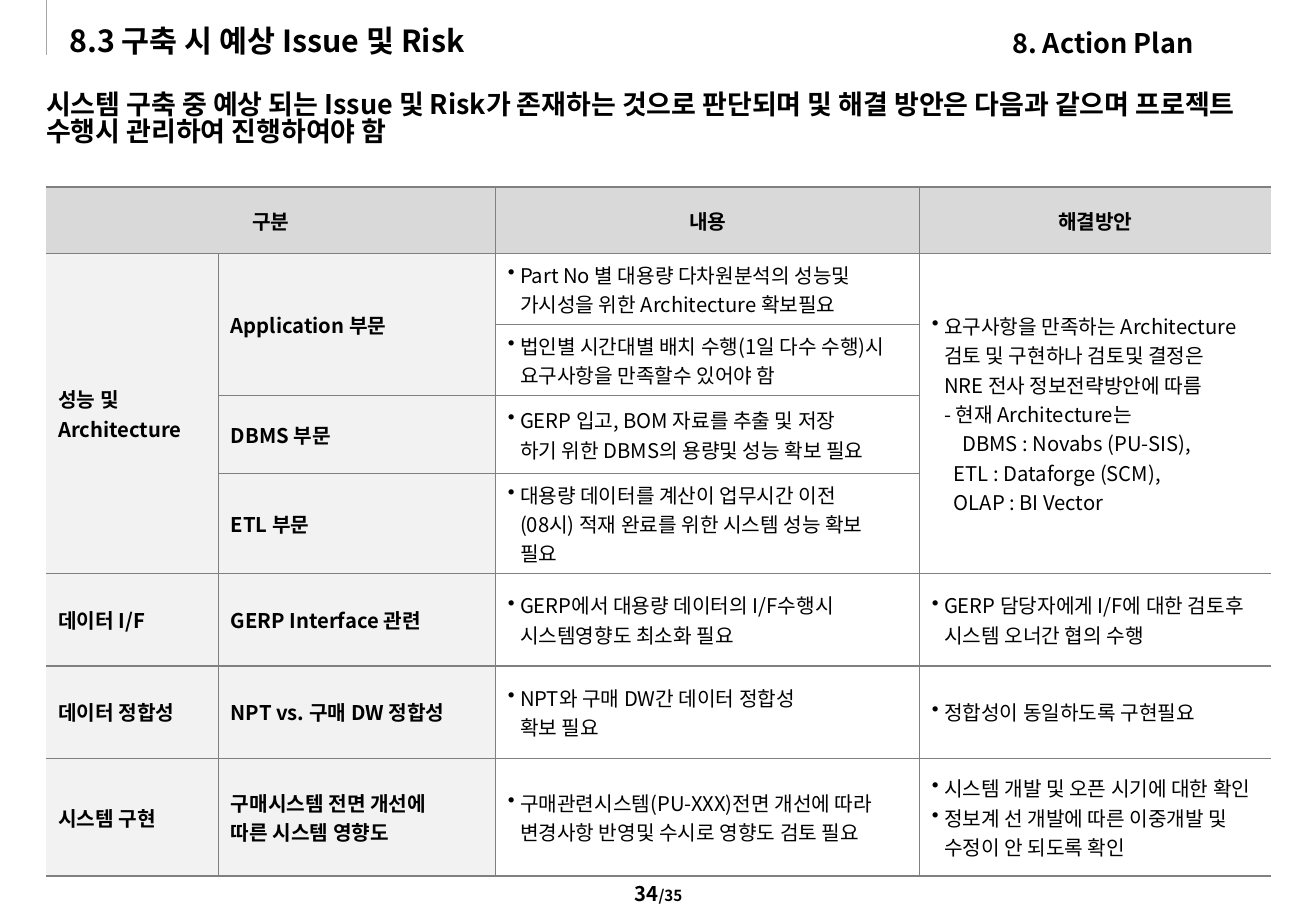
from dataclasses import dataclass, field
from typing import Optional

from lxml.etree import SubElement
from pptx import Presentation
from pptx.dml.color import RGBColor
from pptx.enum.shapes import MSO_CONNECTOR as Connector
from pptx.enum.text import MSO_ANCHOR as Anchor, MSO_AUTO_SIZE as AutoSize, PP_ALIGN as Align
from pptx.oxml.ns import qn
from pptx.util import Inches, Pt


@dataclass(frozen=True)
class Theme:
    """Colours, font and type sizes."""
    font: str = "Noto Sans CJK KR"
    ink: str = "000000"
    rule: str = "A6A6A6"
    border: str = "808080"
    header: str = "D9D9D9"
    label: str = "F2F2F2"
    content: str = "FFFFFF"
    title_size: int = 18
    lead_size: int = 16
    cell_size: int = 12
    total_size: int = 9
    thin: float = 0.75
    thick: float = 1.5


@dataclass(frozen=True)
class Item:
    """One paragraph of a content cell."""
    text: str
    indent: float = 0.1
    bullet: bool = True


@dataclass(frozen=True)
class Entry:
    """One filled table cell with its span."""
    row: int
    column: int
    items: list[Item] = field(default_factory=list)
    rows: int = 1
    columns: int = 1


@dataclass(frozen=True)
class Frame:
    """Place of an element in inches."""
    left: float
    top: float
    width: float
    height: float


THEME = Theme()
COLUMNS = [1.42, 2.28, 3.49, 2.89]
ROWS = [0.55, 0.54, 0.54, 0.64, 0.76, 0.76, 0.76, 0.97]


def label(row: int, column: int, text: str, rows: int = 1, columns: int = 1) -> Entry:
    """Make a header or label cell."""
    return Entry(row, column, [Item(text, 0, False)], rows, columns)


def bullets(row: int, column: int, *texts: str) -> Entry:
    """Make a bulleted content cell."""
    return Entry(row, column, [Item(text) for text in texts])


ENTRIES = [
    label(0, 0, "구분", columns=2),
    label(0, 2, "내용"),
    label(0, 3, "해결방안"),
    label(1, 0, "성능 및 Architecture", rows=4),
    label(1, 1, "Application 부문", rows=2),
    label(3, 1, "DBMS 부문"),
    label(4, 1, "ETL 부문"),
    label(5, 0, "데이터 I/F"),
    label(5, 1, "GERP Interface 관련"),
    label(6, 0, "데이터 정합성"),
    label(6, 1, "NPT vs. 구매 DW 정합성"),
    label(7, 0, "시스템 구현"),
    label(7, 1, "구매시스템 전면 개선에\v따른 시스템 영향도"),
    bullets(1, 2, "Part No 별 대용량 다차원분석의 성능및 가시성을 위한 Architecture 확보필요"),
    bullets(2, 2, "법인별 시간대별 배치 수행(1일 다수 수행)시 요구사항을 만족할수 있어야 함"),
    bullets(3, 2, "GERP 입고, BOM 자료를 추출 및 저장\v하기 위한 DBMS의 용량및 성능 확보 필요"),
    bullets(4, 2, "대용량 데이터를 계산이 업무시간 이전\v(08시) 적재 완료를 위한 시스템 성능 확보\v필요"),
    bullets(5, 2, "GERP에서 대용량 데이터의 I/F수행시 시스템영향도 최소화 필요"),
    bullets(6, 2, "NPT와 구매 DW간 데이터 정합성\v확보 필요"),
    bullets(7, 2, "구매관련시스템(PU-XXX)전면 개선에 따라 변경사항 반영및 수시로 영향도 검토 필요"),
    Entry(1, 3, [
        Item("요구사항을 만족하는 Architecture 검토 및 구현하나 검토및 결정은\vNRE 전사 정보전략방안에 따름"),
        Item("- 현재 Architecture는", 0.1, False),
        Item("DBMS : Novabs (PU-SIS),", 0.25, False),
        Item("ETL : Dataforge (SCM),", 0.18, False),
        Item("OLAP : BI Vector", 0.18, False),
    ], rows=4),
    bullets(5, 3, "GERP 담당자에게 I/F에 대한 검토후 시스템 오너간 협의 수행"),
    bullets(6, 3, "정합성이 동일하도록 구현필요"),
    bullets(7, 3, "시스템 개발 및 오픈 시기에 대한 확인", "정보계 선 개발에 따른 이중개발 및 수정이 안 되도록 확인"),
]


def style_run(span, size: float, bold: bool = True) -> None:
    """Give a run the theme font for Latin and Korean text."""
    font = span.font
    font.name, font.size, font.bold = THEME.font, Pt(size), bold
    font.color.rgb = RGBColor.from_string(THEME.ink)
    east_asian = SubElement(span._r.get_or_add_rPr(), qn("a:ea"))
    east_asian.set("typeface", THEME.font)


def set_indent(para, indent: float, bullet: bool) -> None:
    """Set the left indent and the bullet of a paragraph."""
    properties = para._p.get_or_add_pPr()
    properties.set("marL", str(Inches(indent)))
    properties.set("indent", str(Inches(-0.1 if bullet else 0)))
    if bullet:
        SubElement(properties, qn("a:buChar")).set("char", "•")
    else:
        SubElement(properties, qn("a:buNone"))


def place_text(box, frame: Frame, text: str, size: float, anchor=Anchor.MIDDLE):
    """Place a text shape without insets and return its paragraph."""
    box.left, box.top = Inches(frame.left), Inches(frame.top)
    box.width, box.height = Inches(frame.width), Inches(frame.height)
    text_frame = box.text_frame
    text_frame.text = text
    text_frame.word_wrap, text_frame.auto_size = True, AutoSize.NONE
    text_frame.vertical_anchor = anchor
    text_frame.margin_left = text_frame.margin_right = 0
    text_frame.margin_top = text_frame.margin_bottom = 0
    para = text_frame.paragraphs[0]
    para.alignment = Align.LEFT
    for span in para.runs:
        style_run(span, size)
    return para


def set_borders(cell, row: int, column: int) -> None:
    """Draw the inner rules and the thick top and bottom rules."""
    weights = {
        "a:lnL": THEME.thin if column else 0,
        "a:lnR": THEME.thin if column < len(COLUMNS) - 1 else 0,
        "a:lnT": THEME.thin if row else THEME.thick,
        "a:lnB": THEME.thin if row < len(ROWS) - 1 else THEME.thick,
    }
    properties = cell._tc.get_or_add_tcPr()
    for tag, weight in weights.items():
        line = SubElement(properties, qn(tag), w=str(Pt(weight)))
        if weight:
            fill = SubElement(line, qn("a:solidFill"))
            SubElement(fill, qn("a:srgbClr"), val=THEME.border)
        else:
            SubElement(line, qn("a:noFill"))


def fill_entry(table, entry: Entry) -> None:
    """Merge and write one table entry."""
    cell = table.cell(entry.row, entry.column)
    if entry.rows * entry.columns > 1:
        cell.merge(table.cell(entry.row + entry.rows - 1, entry.column + entry.columns - 1))
    cell.vertical_anchor = Anchor.MIDDLE
    cell.text_frame.text = "\n".join(item.text for item in entry.items)
    for para, item in zip(cell.text_frame.paragraphs, entry.items):
        para.alignment = Align.LEFT if entry.row else Align.CENTER
        set_indent(para, item.indent, item.bullet)
        for span in para.runs:
            style_run(span, THEME.cell_size, entry.row == 0 or entry.column < 2)


def add_issue_table(slide, frame: Frame) -> None:
    """Add the table of issues and solutions."""
    table = slide.shapes.add_table(len(ROWS), len(COLUMNS), Inches(frame.left), Inches(frame.top),
                                   Inches(frame.width), Inches(frame.height)).table
    table.first_row = table.horz_banding = False
    for column, width in zip(table.columns, COLUMNS):
        column.width = Inches(width)
    for row_index, height in enumerate(ROWS):
        table.rows[row_index].height = Inches(height)
        for column_index in range(len(COLUMNS)):
            cell = table.cell(row_index, column_index)
            set_borders(cell, row_index, column_index)
            colour = THEME.label if column_index < 2 else THEME.content
            cell.fill.solid()
            cell.fill.fore_color.rgb = RGBColor.from_string(colour if row_index else THEME.header)
    for entry in ENTRIES:
        fill_entry(table, entry)


def add_text(slide, frame: Frame, text: str, size: float, align: Optional[Align] = None):
    """Add a text box and return its paragraph."""
    para = place_text(slide.shapes.add_textbox(0, 0, 0, 0), frame, text, size)
    para.alignment = align or Align.LEFT
    return para


def main() -> None:
    """Build the slide and save it."""
    deck = Presentation()
    deck.slide_width, deck.slide_height = Inches(10.83), Inches(7.5)
    slide = deck.slides.add_slide(deck.slide_layouts[1])
    page = add_text(slide, Frame(4.29, 7.19, 2.26, 0.33), "34", THEME.cell_size, Align.CENTER)
    total = page.add_run()
    total.text = "/35"
    style_run(total, THEME.total_size)
    rule = slide.shapes.add_connector(Connector.STRAIGHT, Inches(0.38), 0, Inches(0.38), Inches(0.45))
    rule.line.color.rgb, rule.line.width = RGBColor.from_string(THEME.rule), Pt(0.5)
    SubElement(rule._element.spPr, qn("a:effectLst"))
    place_text(slide.shapes.title, Frame(0.57, 0.18, 7.45, 0.3),
               "8.3 구축 시 예상 Issue 및 Risk", THEME.title_size)
    lead = place_text(slide.placeholders[1], Frame(0.38, 0.76, 10.08, 0.76),
                      "시스템 구축 중 예상 되는 Issue 및 Risk가 존재하는 것으로 판단되며 및 해결 방안은 "
                      "다음과 같으며 프로젝트 수행시 관리하여 진행하여야 함", THEME.lead_size, Anchor.TOP)
    lead.space_before, lead.line_spacing = Pt(10), 0.85
    set_indent(lead, 0, False)
    add_issue_table(slide, Frame(0.38, 1.54, sum(COLUMNS), sum(ROWS)))
    add_text(slide, Frame(8.33, 0.22, 2.38, 0.27), "8. Action Plan", THEME.lead_size)
    deck.save("out.pptx")


if __name__ == "__main__":
    main()
